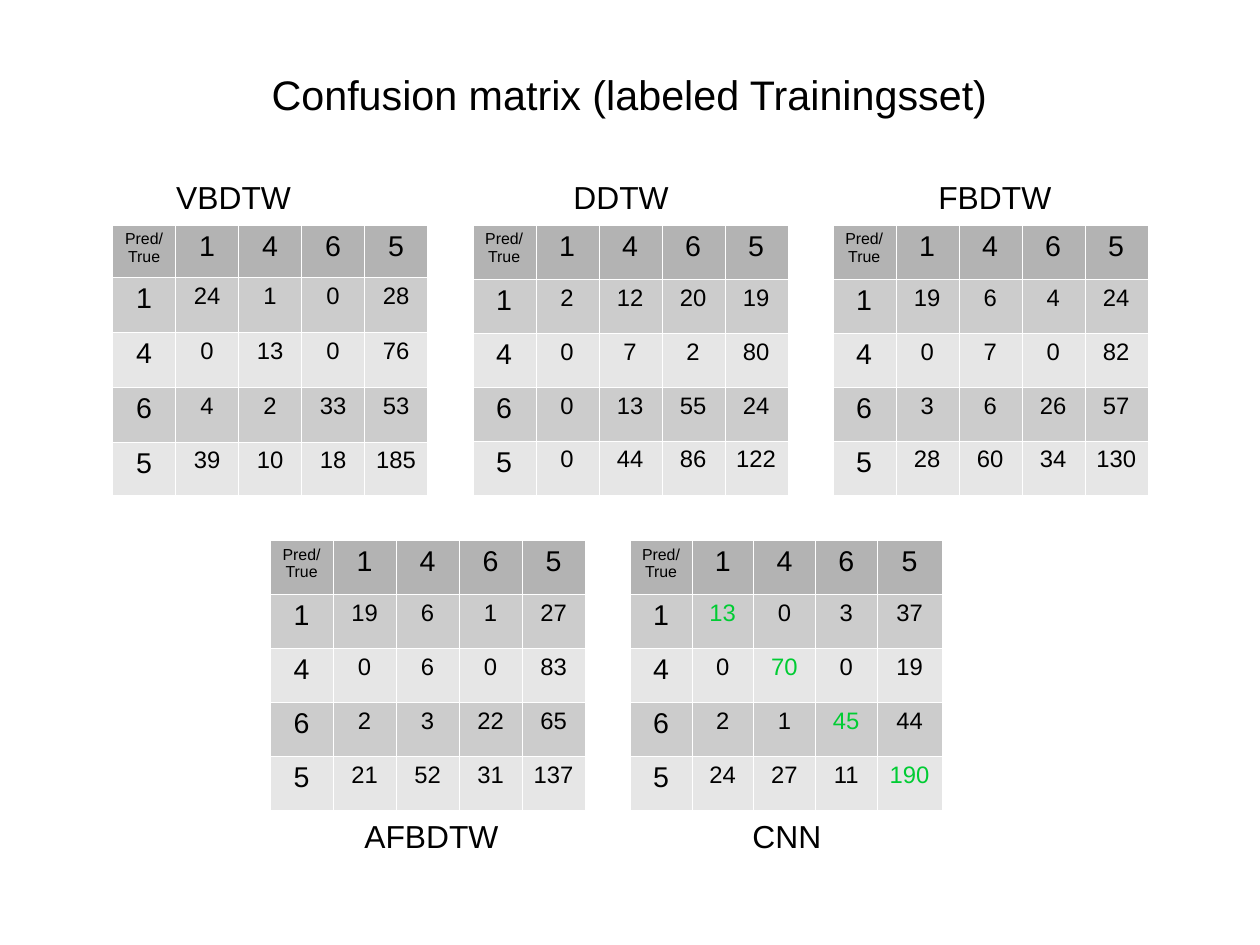
from lxml import etree
from pptx import Presentation
from pptx.dml.color import RGBColor
from pptx.enum.text import MSO_ANCHOR, MSO_AUTO_SIZE, PP_ALIGN
from pptx.oxml.ns import qn
from pptx.util import Pt

CENTER = PP_ALIGN.CENTER
MIDDLE = MSO_ANCHOR.MIDDLE
FIXED = MSO_AUTO_SIZE.NONE

HEX = {
    "ink": "000000",
    "hit": "00CC33",
    "head": "B3B3B3",
    "odd": "CCCCCC",
    "even": "E6E6E6",
    "edge": "FFFFFF",
}
LABELS = ["1", "4", "6", "5"]
LEFT, STEP = 70.9, 226.8
LOWER = 170.1
TOPS = [141.7, 340.2]
COLS = [39.7] * 5
LAST_COLS = [38.9] * 4 + [41]
ROWS = [34] * 5
FIRST_ROWS = [33, 34.5, 34.5, 34.5, 33.5]

GRIDS = [
    (LEFT, TOPS[0], COLS, FIRST_ROWS, False,
     [[24, 1, 0, 28], [0, 13, 0, 76], [4, 2, 33, 53], [39, 10, 18, 185]]),
    (LEFT + STEP, TOPS[0], COLS, ROWS, False,
     [[2, 12, 20, 19], [0, 7, 2, 80], [0, 13, 55, 24], [0, 44, 86, 122]]),
    (LEFT + 2 * STEP, TOPS[0], COLS, ROWS, False,
     [[19, 6, 4, 24], [0, 7, 0, 82], [3, 6, 26, 57], [28, 60, 34, 130]]),
    (LOWER, TOPS[1], COLS, ROWS, False,
     [[19, 6, 1, 27], [0, 6, 0, 83], [2, 3, 22, 65], [21, 52, 31, 137]]),
    (LOWER + STEP, TOPS[1], LAST_COLS, ROWS, True,
     [[13, 0, 3, 37], [0, 70, 0, 19], [2, 1, 45, 44], [24, 27, 11, 190]]),
]
NAMES = [
    ("VBDTW", 79.2, 95),
    ("DDTW", 323.3, 95),
    ("FBDTW", 558.7, 95),
    ("AFBDTW", 203.8, 497.5),
    ("CNN", 427.7, 497.5),
]


class Page:
    def __init__(self, deck, font):
        self.slide = deck.slides.add_slide(deck.slide_layouts[5])
        self.font = font

    def put(self, frame, text, size, color="ink"):
        para = frame.paragraphs[0]
        para.alignment = CENTER
        run = para.add_run()
        run.text = text
        run.font.name = self.font
        run.font.size = Pt(size)
        run.font.bold = False
        run.font.color.rgb = RGBColor.from_string(HEX[color])

    def fit(self, frame):
        frame.margin_left = frame.margin_right = 0
        frame.margin_top = frame.margin_bottom = 0
        frame.word_wrap = True
        frame.auto_size = FIXED
        frame.vertical_anchor = MIDDLE

    def title(self, text, left, top, width, height):
        shape = self.slide.shapes.title
        shape.left, shape.top = Pt(left), Pt(top)
        shape.width, shape.height = Pt(width), Pt(height)
        self.fit(shape.text_frame)
        self.put(shape.text_frame, text, 26)

    def label(self, text, left, top, width, height):
        box = self.slide.shapes.add_textbox(Pt(left), Pt(top), Pt(width), Pt(height))
        self.fit(box.text_frame)
        self.put(box.text_frame, text, 20)

    def edge(self, cell):
        props = cell._tc.get_or_add_tcPr()
        for side in ("a:lnL", "a:lnR", "a:lnT", "a:lnB"):
            line = etree.SubElement(props, qn(side), w=str(Pt(0.06)))
            fill = etree.SubElement(line, qn("a:solidFill"))
            etree.SubElement(fill, qn("a:srgbClr"), val=HEX["edge"])

    def cell(self, cell, text, size, color, fill):
        self.edge(cell)
        cell.fill.solid()
        cell.fill.fore_color.rgb = RGBColor.from_string(HEX[fill])
        self.put(cell.text_frame, text, size, color)

    def grid(self, left, top, cols, rows, marked, counts):
        table = self.slide.shapes.add_table(
            len(rows), len(cols), Pt(left), Pt(top), Pt(sum(cols)), Pt(sum(rows))
        ).table
        table.first_row = table.horz_banding = False
        for col, width in zip(table.columns, cols):
            col.width = Pt(width)
        for row, height in zip(table.rows, rows):
            row.height = Pt(height)
        lines = [["Pred/True"] + LABELS]
        lines += [[name] + line for name, line in zip(LABELS, counts)]
        for r, line in enumerate(lines):
            fill = "head" if r == 0 else "odd" if r % 2 else "even"
            for c, value in enumerate(line):
                size = 15 if r and c else 18 if r or c else 10
                color = "hit" if marked and r == c and r else "ink"
                self.cell(table.cell(r, c), str(value), size, color, fill)


def main():
    deck = Presentation()
    deck.slide_width, deck.slide_height = Pt(793.7), Pt(595.3)
    page = Page(deck, "Arial")
    page.title("Confusion matrix (labeled Trainingsset)", 39.7, 9.4, 714.3, 99.4)
    for grid in GRIDS:
        page.grid(*grid)
    for text, left, top in NAMES:
        page.label(text, left, top, 136, 58.3)
    deck.save("out.pptx")


if __name__ == "__main__":
    main()
